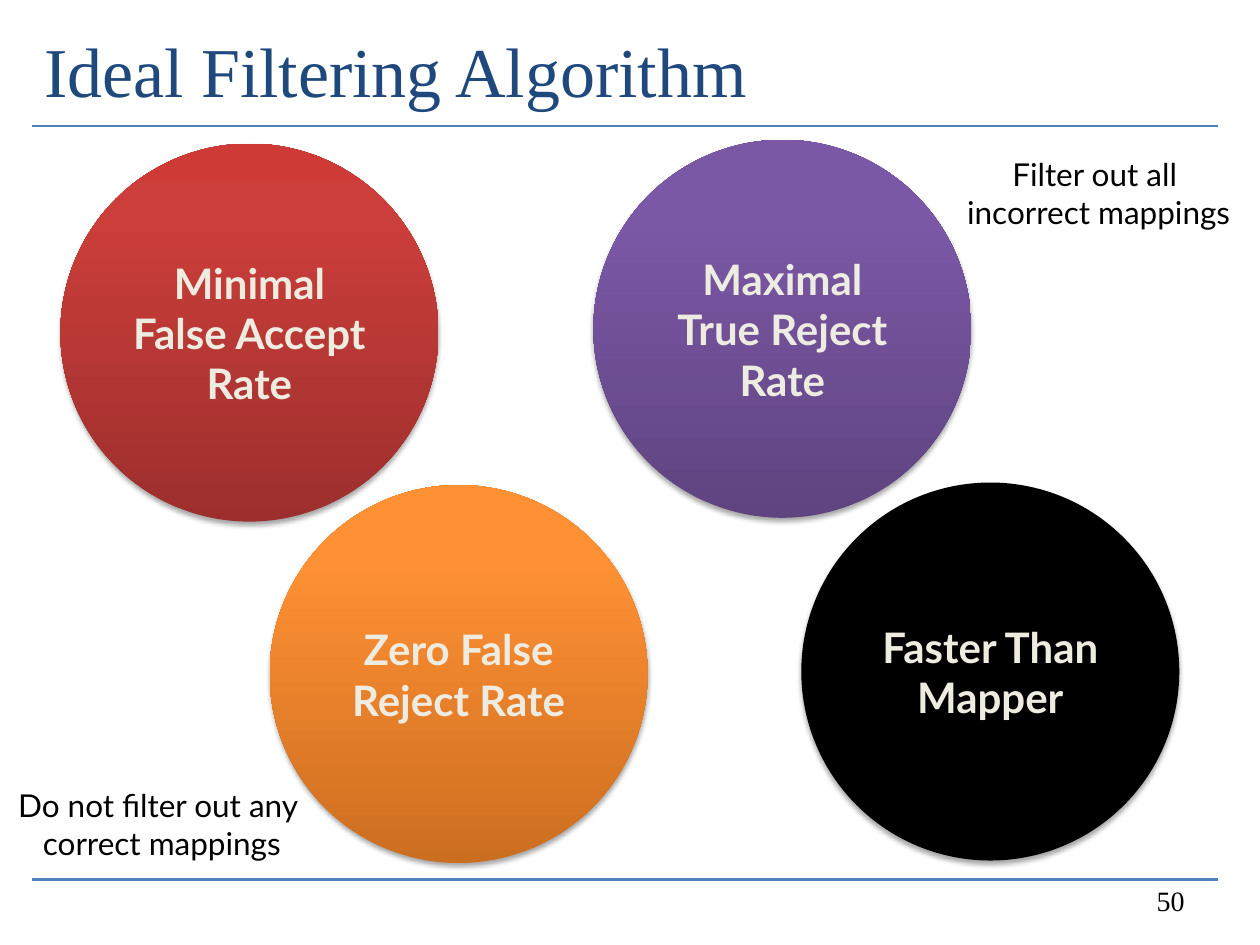
from copy import deepcopy

from lxml.etree import SubElement
from pptx import Presentation
from pptx.dml.color import RGBColor
from pptx.enum.shapes import MSO_CONNECTOR, MSO_SHAPE
from pptx.enum.text import MSO_ANCHOR, PP_ALIGN
from pptx.oxml.ns import qn
from pptx.util import Emu, Pt

PX = 9144  # one px is 1/100 inch

THEME = {
    "title": ("Times New Roman", 40, "1F497D"),
    "number": ("Times New Roman", 16, "000000"),
    "circle": ("Lato", 24, "EEECE1"),
    "note": ("Lato", 18, "000000"),
    "rule": "4F81BD",
    "shadow": "000000",
    "red": ("9C2F2D", "CB3E3A", "CE3B37"),
    "orange": ("CC6E20", "FF9034", "FF9136"),
    "purple": ("5F4480", "7B58A6", "7C57A8"),
    "black": ("000000",),
}

TITLE = "Ideal Filtering Algorithm"
PAGE_NUMBER = "50"
RULE_TOPS = (100, 698)
RULE_LEFT, RULE_RIGHT = 25, 967
DIAMETER = 300
GRADIENT_POSITIONS = (0, 0.8, 1)
CIRCLES = [  # text, colour, left, top
    ("Minimal False Accept Rate", "red", 48, 114),
    ("Zero False Reject Rate", "orange", 214, 385),
    ("Maximal True Reject Rate", "purple", 471, 111),
    ("Faster Than Mapper", "black", 636, 383),
]
NOTES = [  # text, box
    ("Filter out all \nincorrect mappings", (756, 118, 232, 71)),
    ("Do not filter out any \ncorrect mappings", (2, 619, 253, 71)),
]


def px(*lengths):
    return [Emu(length * PX) for length in lengths]


def rgb(value):
    return RGBColor.from_string(value)


def write(shape, text, style, align, anchor, bold=False, wrap=True):
    name, size, color = THEME[style]
    frame = shape.text_frame
    frame.text = text
    frame.word_wrap = wrap
    frame.vertical_anchor = anchor
    for paragraph in frame.paragraphs:
        paragraph.alignment = align
        for run in paragraph.runs:
            run.font.name = name
            run.font.size = Pt(size)
            run.font.bold = bold
            run.font.color.rgb = rgb(color)


def add_rule(slide, top):
    rule = slide.shapes.add_connector(
        MSO_CONNECTOR.STRAIGHT, *px(RULE_LEFT, top, RULE_RIGHT, top))
    rule.line.color.rgb = rgb(THEME["rule"])
    rule.line.width = Pt(1.5)
    SubElement(rule._element.spPr, qn("a:effectLst"))


def fill_circle(shape, colors):
    """Fill with one colour, or with a gradient running from bottom to top."""
    fill = shape.fill
    if len(colors) == 1:
        fill.solid()
        fill.fore_color.rgb = rgb(colors[0])
        return
    fill.gradient()
    fill.gradient_angle = 90
    stop_list = shape._element.spPr.find(".//" + qn("a:gsLst"))
    stop_list.append(deepcopy(stop_list[-1]))
    for stop, position, color in zip(fill.gradient_stops, GRADIENT_POSITIONS, colors):
        stop.position = position
        stop.color.rgb = rgb(color)


def add_soft_shadow(shape):
    shape.shadow.inherit = False
    effects = shape._element.spPr.find(qn("a:effectLst"))
    shadow = SubElement(effects, qn("a:outerShdw"), blurRad=str(Pt(3.1)),
                        dist=str(Pt(1.8)), dir="5400000", rotWithShape="0")
    color = SubElement(shadow, qn("a:srgbClr"), val=THEME["shadow"])
    SubElement(color, qn("a:alpha"), val="35000")


def add_circle(slide, text, color, left, top):
    circle = slide.shapes.add_shape(
        MSO_SHAPE.OVAL, *px(left, top, DIAMETER, DIAMETER))
    fill_circle(circle, THEME[color])
    circle.line.fill.background()
    add_soft_shadow(circle)
    write(circle, text, "circle", PP_ALIGN.CENTER, MSO_ANCHOR.MIDDLE, bold=True)


def main():
    presentation = Presentation()
    presentation.slide_width, presentation.slide_height = px(1000, 750)
    slide = presentation.slides.add_slide(presentation.slide_layouts[5])

    for top in RULE_TOPS:
        add_rule(slide, top)

    title = slide.shapes.title
    title.left, title.top, title.width, title.height = px(25, 17, 942, 117)
    write(title, TITLE, "title", PP_ALIGN.LEFT, MSO_ANCHOR.TOP)

    number = slide.shapes.add_textbox(*px(717, 683, 233, 50))
    write(number, PAGE_NUMBER, "number", PP_ALIGN.RIGHT, MSO_ANCHOR.BOTTOM)

    for circle in CIRCLES:
        add_circle(slide, *circle)

    for text, box in NOTES:
        note = slide.shapes.add_textbox(*px(*box))
        write(note, text, "note", PP_ALIGN.CENTER, MSO_ANCHOR.TOP, wrap=False)

    presentation.save("out.pptx")


if __name__ == "__main__":
    main()
